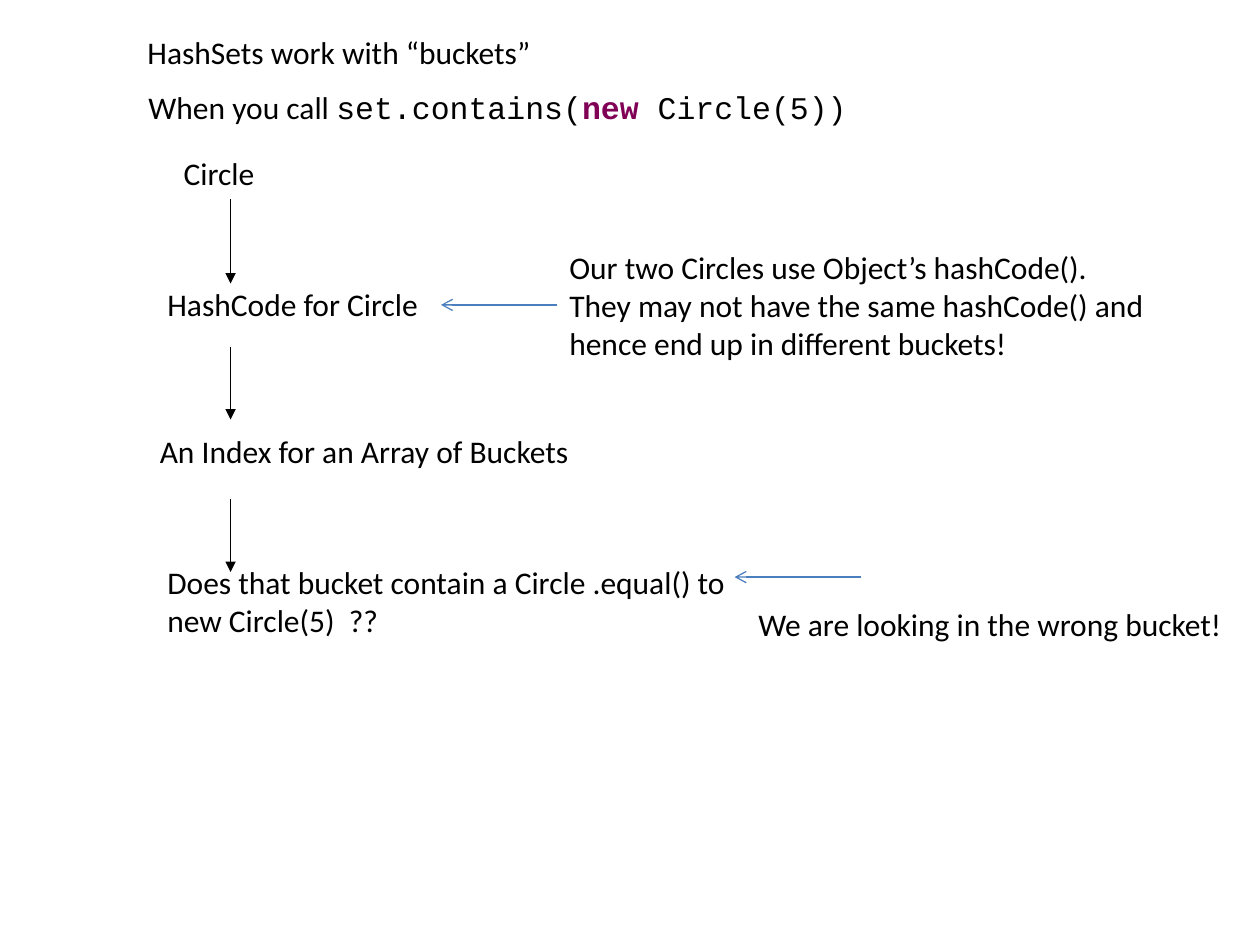
from dataclasses import dataclass

from lxml import etree
from pptx import Presentation, util as u
from pptx.dml.color import RGBColor
from pptx.enum import shapes, text
from pptx.oxml.ns import qn


@dataclass(frozen=True)
class Theme:
    ink: str = "000000"
    keyword: str = "7F0055"
    accent: str = "4B7EBC"
    body: str = "Calibri"
    code: str = "Courier New"
    size: float = 18
    line: float = 0.75


THEME = Theme()
PLAIN = {"name": THEME.body, "size": u.Pt(THEME.size), "bold": False}
CODE = {**PLAIN, "name": THEME.code}
KEYWORD = {**CODE, "bold": True}


def write(shape, lines):
    """Fill a shape with lines, each a list of (words, format, colour) runs."""
    frame = shape.text_frame
    settings = {"word_wrap": True, "auto_size": text.MSO_AUTO_SIZE.NONE,
                "vertical_anchor": text.MSO_ANCHOR.TOP}
    for name, value in settings.items():
        setattr(frame, name, value)
    for number, runs in enumerate(lines):
        paragraph = frame.add_paragraph() if number else frame.paragraphs[0]
        paragraph.alignment = text.PP_ALIGN.LEFT
        for words, style, colour in runs:
            run = paragraph.add_run()
            run.text = words
            for name, value in style.items():
                setattr(run.font, name, value)
            run.font.color.rgb = RGBColor.from_string(colour)


def plain(*lines):
    return [[(line, PLAIN, THEME.ink)] for line in lines]


def add_label(slide, left, top, width, height, lines):
    box = slide.shapes.add_textbox(*map(u.Inches, (left, top, width, height)))
    write(box, lines)


def add_arrow(slide, start, end, colour, head):
    arrow = slide.shapes.add_connector(
        shapes.MSO_CONNECTOR.STRAIGHT, *map(u.Inches, (*start, *end)))
    arrow.line.color.rgb = RGBColor.from_string(colour)
    arrow.line.width = u.Pt(THEME.line)
    etree.SubElement(arrow.line._get_or_add_ln(), qn("a:tailEnd"), type=head)
    etree.SubElement(arrow._element.spPr, qn("a:effectLst"))


def add_heading(slide, left, top):
    """Title and the call being explained."""
    title = slide.shapes.title
    place = {"left": left, "top": top, "width": 4.59, "height": 0.5}
    for name, value in place.items():
        setattr(title, name, u.Inches(value))
    write(title, plain("HashSets work with “buckets”"))
    add_label(slide, left + 0.01, top + 0.44, 7.78, 0.5, [[
        ("When you call ", PLAIN, THEME.ink),
        ("set.contains(", CODE, THEME.ink),
        ("new", KEYWORD, THEME.keyword),
        (" Circle(5))", CODE, THEME.ink)]])


def add_flow(slide, left, top):
    """Lookup steps from top to bottom, joined by arrows on one axis."""
    steps = [
        (0.19, 0, 1.06, 0.5, ["Circle"]),
        (0.06, 1.04, 3.21, 0.5, ["HashCode for Circle"]),
        (0, 2.21, 5, 0.5, ["An Index for an Array of Buckets"]),
        (0.06, 3.25, 4.74, 0.71,
         ["Does that bucket contain a Circle .equal() to ",
          "new Circle(5)  ??"]),
    ]
    for x, y, width, height, lines in steps:
        add_label(slide, left + x, top + y, width, height, plain(*lines))
    axis = left + 0.66
    for start, end in [(0.41, 1.08), (1.58, 2.16), (2.79, 3.37)]:
        add_arrow(slide, (axis, top + start), (axis, top + end),
                  THEME.ink, "triangle")


def add_note(slide, left, top, width, height, lines, tip, tail, level):
    """Remark with an arrow pointing left; arrow places are relative."""
    add_label(slide, left, top, width, height, plain(*lines))
    add_arrow(slide, (left + tail, top + level), (left + tip, top + level),
              THEME.accent, "arrow")


presentation = Presentation()
presentation.slide_width = u.Inches(10)
presentation.slide_height = u.Inches(7.5)
slide = presentation.slides.add_slide(
    presentation.slide_layouts.get_by_name("Title Only"))

add_heading(slide, 1.07, 0.21)
add_flow(slide, 1.17, 1.17)
add_note(slide, 4.42, 1.92, 4.82, 1.01,
         ["Our two Circles use Object’s hashCode().",
          "They may not have the same hashCode() and",
          "hence end up in different buckets!"],
         tip=-0.92, tail=0, level=0.5)
add_note(slide, 5.92, 4.75, 3.93, 0.4,
         ["We are looking in the wrong bucket!"],
         tip=-0.09, tail=0.91, level=-0.17)

presentation.save("out.pptx")
